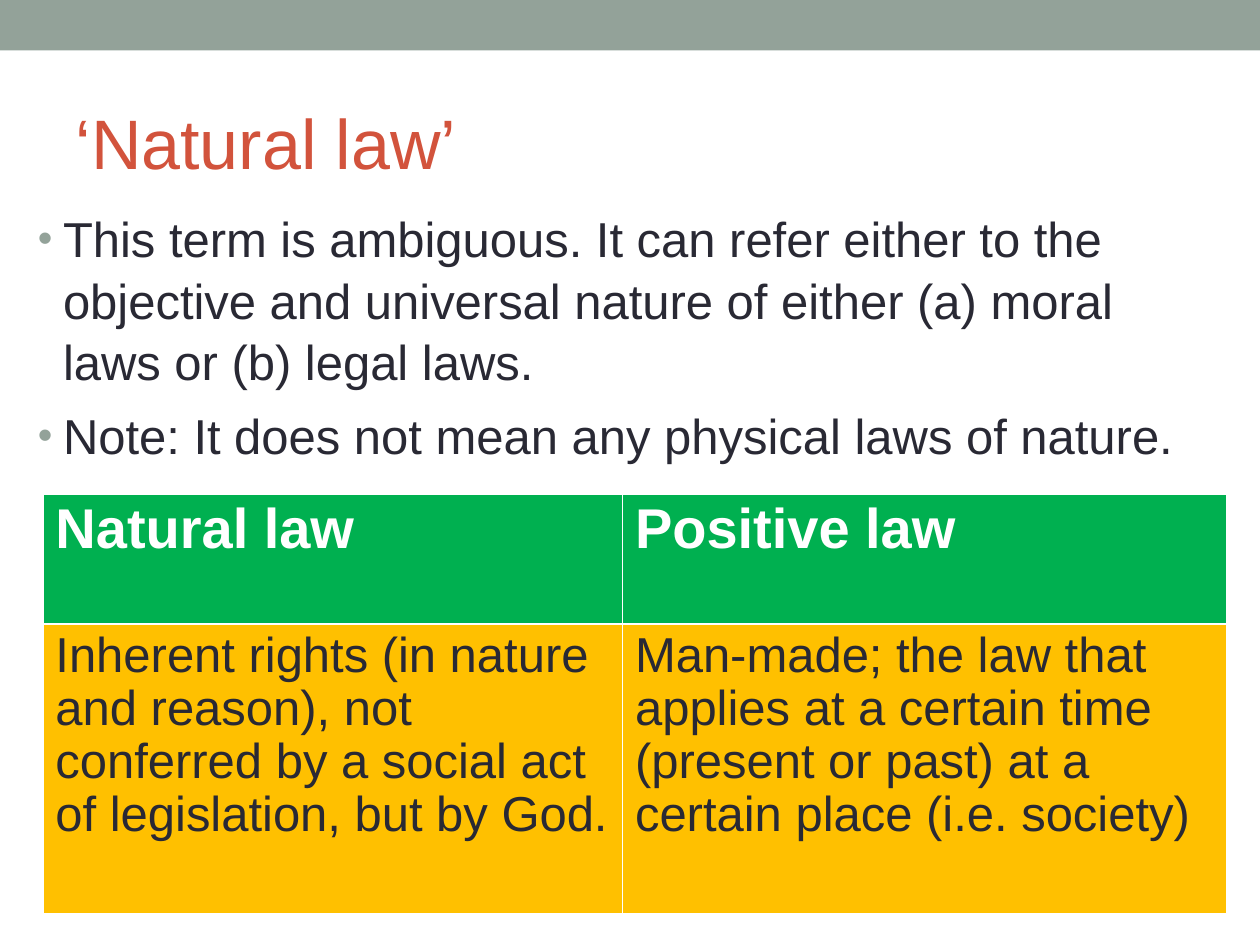
from lxml import etree
from pptx import Presentation
from pptx import util as u
from pptx.dml.color import RGBColor
from pptx.enum import shapes, text
from pptx.oxml.ns import qn

COLORS = {
    "band": "93A299",
    "title": "D2533C",
    "ink": "292934",
    "white": "FFFFFF",
    "header": "00B050",
    "cell": "FFC000",
}
POINTS = [
    "This term is ambiguous. It can refer either to the objective and universal "
    "nature of either (a) moral laws or (b) legal laws.",
    "Note: It does not mean any physical laws of nature.",
]
ROWS = [
    ["Natural law", "Positive law"],
    [
        "Inherent rights (in nature and reason), not conferred by a social act "
        "of legislation, but by God.",
        "Man-made; the law that applies at a certain time (present or past) "
        "at a certain place (i.e. society)",
    ],
]
ROW_STYLES = [("header", "white", 32, True), ("cell", "ink", 28, False)]
COLUMN_WIDTHS = [4.6, 4.79]
ROW_HEIGHTS = [1.03, 2.3]


def write(para, words, size, color, bold=False):
    span = para.add_run()
    span.text = words
    span.font.name = "Arial"
    span.font.size = u.Pt(size)
    span.font.bold = bold
    span.font.color.rgb = RGBColor.from_string(COLORS[color])
    para.alignment = text.PP_ALIGN.LEFT


def place(box, left, top, width, height):
    box.left, box.top = u.Inches(left), u.Inches(top)
    box.width, box.height = u.Inches(width), u.Inches(height)


deck = Presentation()
deck.slide_width, deck.slide_height = u.Inches(10), u.Inches(7.5)
page = deck.slides.add_slide(deck.slide_layouts[1])

band = page.shapes.add_shape(
    shapes.MSO_SHAPE.RECTANGLE, 0, 0, deck.slide_width, u.Inches(0.4)
)
band.shadow.inherit = False
band.fill.solid()
band.fill.fore_color.rgb = RGBColor.from_string(COLORS["band"])
band.line.fill.background()

title = page.shapes.title
place(title, 0.5, 0.58, 9, 1.08)
title.text_frame.auto_size = text.MSO_AUTO_SIZE.NONE
title.text_frame.vertical_anchor = text.MSO_ANCHOR.MIDDLE
write(title.text_frame.paragraphs[0], "‘Natural law’", 40, "title")

body = page.placeholders[1]
place(body, 0.2, 1.58, 9.45, 5.63)
body.text_frame.auto_size = text.MSO_AUTO_SIZE.NONE
for index, point in enumerate(POINTS):
    para = body.text_frame.add_paragraph() if index else body.text_frame.paragraphs[0]
    write(para, point, 28, "ink")
    para.space_before = u.Pt(7)
    para.line_spacing = 1.05
    settings = para._p.get_or_add_pPr()
    settings.set("marL", str(u.Inches(0.2)))
    settings.set("indent", str(-u.Inches(0.2)))
    bullet_color = etree.SubElement(settings, qn("a:buClr"))
    etree.SubElement(bullet_color, qn("a:srgbClr"), val=COLORS["band"])
    etree.SubElement(settings, qn("a:buSzPct"), val="85000")
    etree.SubElement(settings, qn("a:buFont"), typeface="Arial")
    etree.SubElement(settings, qn("a:buChar"), char="•")

frame = page.shapes.add_table(
    len(ROWS), len(COLUMN_WIDTHS), u.Inches(0.34), u.Inches(3.92),
    u.Inches(sum(COLUMN_WIDTHS)), u.Inches(sum(ROW_HEIGHTS)),
)
table = frame.table
for column, width in zip(table.columns, COLUMN_WIDTHS):
    column.width = u.Inches(width)
for row, height in zip(table.rows, ROW_HEIGHTS):
    row.height = u.Inches(height)

for row_index, (fill, color, size, bold) in enumerate(ROW_STYLES):
    for column_index, words in enumerate(ROWS[row_index]):
        cell = table.cell(row_index, column_index)
        para = cell.text_frame.paragraphs[0]
        write(para, words, size, color, bold)
        para.line_spacing = 0.97
        inner_edge = "a:lnT" if row_index else "a:lnB"
        settings = cell._tc.get_or_add_tcPr()
        for edge in ("a:lnL", "a:lnR", "a:lnT", "a:lnB"):
            weight = 1.47 if edge == inner_edge else 0.45
            line = etree.SubElement(settings, qn(edge), w=str(u.Pt(weight)))
            paint = etree.SubElement(line, qn("a:solidFill"))
            etree.SubElement(paint, qn("a:srgbClr"), val=COLORS["white"])
        cell.fill.solid()
        cell.fill.fore_color.rgb = RGBColor.from_string(COLORS[fill])

deck.save("out.pptx")
